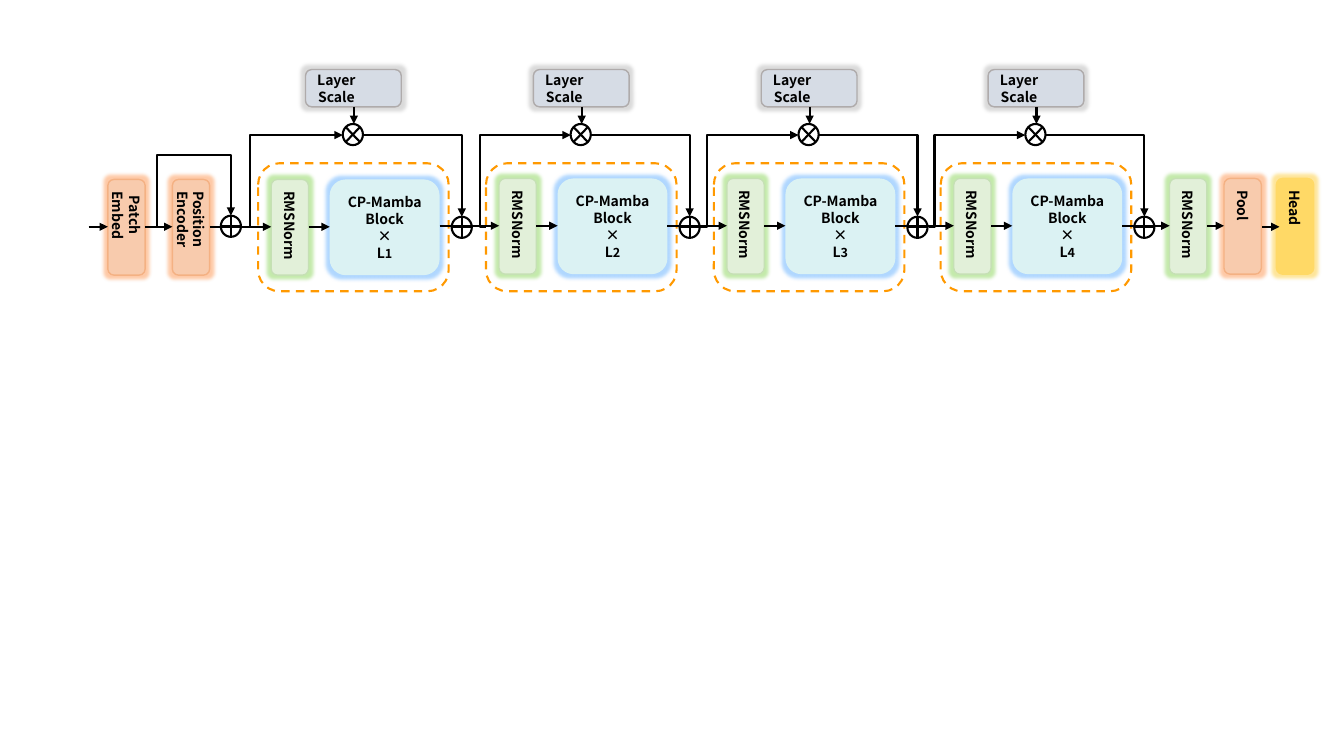
from dataclasses import dataclass
from lxml.etree import SubElement
from pptx import Presentation
from pptx.dml.color import RGBColor
from pptx.enum.dml import MSO_LINE
from pptx.enum.shapes import MSO_CONNECTOR, MSO_SHAPE
from pptx.enum.text import MSO_ANCHOR, PP_ALIGN
from pptx.oxml.ns import qn
from pptx.util import Pt

PX = 9144


@dataclass(frozen=True)
class Theme:
    font: str = "Noto Sans CJK SC"
    size: float = 10
    small: float = 9
    thin: float = 1
    thick: float = 1.5
    glow: int = 7
    ink: str = "000000"
    dash: str = "FF9900"
    peach: tuple = ("F8CBAD", "F4B183", "FF7A22")
    green: tuple = ("E2F0D9", "C5E0B4", "6CCB2E")
    blue: tuple = ("DBF2F3", None, "3B9CFF")
    gray: tuple = ("D6DCE5", "AFABAB", "A5A5A5")
    gold: tuple = ("FFD966", "FFD966", "FFC000")


T = Theme()


def write(shape, rows, size=T.size, color=T.ink, bold=True, vert=None):
    frame = shape.text_frame
    frame.word_wrap = True
    frame.vertical_anchor = MSO_ANCHOR.MIDDLE
    if vert:
        frame._txBody.bodyPr.set("vert", vert)
    for i, row in enumerate(rows):
        para = frame.paragraphs[0] if i == 0 else frame.add_paragraph()
        para.alignment = PP_ALIGN.CENTER
        for part in row if isinstance(row, tuple) else (row,):
            run = para.add_run()
            run.text = part
            font = run.font
            font.name, font.bold = T.font, bold
            font.size = Pt(T.small if part.isdigit() else size)
            font.color.rgb = RGBColor.from_string(color)
            SubElement(run._r.rPr, qn("a:ea"), typeface=T.font)


def draw(slide, kind, left, top, wide, high, fill=None, line=None, width=T.thin):
    shape = slide.shapes.add_shape(kind, left * PX, top * PX, wide * PX, high * PX)
    shape.shadow.inherit = False
    if fill:
        shape.fill.solid()
        shape.fill.fore_color.rgb = RGBColor.from_string(fill)
    else:
        shape.fill.background()
    if line:
        shape.line.color.rgb = RGBColor.from_string(line)
        shape.line.width = Pt(width)
    else:
        shape.line.fill.background()
    return shape


def box(slide, left, top, rows, look, wide=37, vert="eaVert"):
    fill, line, halo = look
    shape = draw(slide, MSO_SHAPE.ROUNDED_RECTANGLE, left, top, wide, 95, fill, line)
    glow = SubElement(shape._element.spPr.find(qn("a:effectLst")), qn("a:glow"),
                      rad=str(T.glow * PX))
    tint = SubElement(glow, qn("a:srgbClr"), val=halo)
    SubElement(tint, qn("a:alpha"), val="40000")
    write(shape, rows, vert=vert)
    return shape


def ring(slide, kind, left, top):
    draw(slide, kind, left, top, 20, 21, line=T.ink, width=T.thick)


def arrow(slide, start, end, prst=None, **bends):
    kind = MSO_CONNECTOR.ELBOW if prst else MSO_CONNECTOR.STRAIGHT
    link = slide.shapes.add_connector(kind, *(n * PX for n in start + end))
    link.line.color.rgb = RGBColor.from_string(T.ink)
    link.line.width = Pt(T.thick)
    SubElement(link.line._get_or_add_ln(), qn("a:tailEnd"), type="triangle")
    props = link._element.spPr
    SubElement(props, qn("a:effectLst"))
    if prst:
        geom = props.find(qn("a:prstGeom"))
        geom.set("prst", prst)
        guides = geom.find(qn("a:avLst"))
        for name, (spot, axis) in bends.items():
            ratio = (spot - start[axis]) / (end[axis] - start[axis])
            SubElement(guides, qn("a:gd"), name=name, fmla=f"val {round(ratio * 100000)}")


def stage(slide, order, left, top):
    box(slide, left + 13, top, ["RMSNorm"], T.green)
    box(slide, left + 71, top, ["CP-Mamba", "Block", "×", ("L", str(order))],
        T.blue, wide=109, vert=None)
    frame = draw(slide, MSO_SHAPE.ROUNDED_RECTANGLE, left, 162, 189, 127,
                 line=T.dash, width=T.thick)
    frame.line.dash_style = MSO_LINE.DASH
    box(slide, left + 76, 40, ["Layer", "Scale"], T.gray).rotation = 270
    arrow(slide, (left + 50, top + 47), (left + 71, top + 47))


def skip(slide, left, start, bend):
    ring(slide, MSO_SHAPE.FLOWCHART_SUMMING_JUNCTION, left + 84, 123)
    ring(slide, MSO_SHAPE.FLOWCHART_OR, left + 192, 215)
    arrow(slide, (left + 95, 106), (left + 95, 123))
    arrow(slide, (start, 225), (left + 84, 134), "bentConnector3", adj1=(bend, 0))
    arrow(slide, (left + 104, 134), (left + 202, 215), "bentConnector2")


def main():
    deck = Presentation()
    deck.slide_width, deck.slide_height = 1333 * PX, 750 * PX
    slide = deck.slides.add_slide(deck.slide_layouts[6])

    for left, top, word, look in (
        (107, 178, "Patch Embed", T.peach), (171, 178, "Position Encoder", T.peach),
        (1160, 177, "RMSNorm", T.green), (1214, 177, "Pool", T.peach),
        (1266, 177, "Head", T.gold),
    ):
        box(slide, left, top, [word], look)

    stages = ((256, 245, 248), (482, 482, 476), (708, 694, 701), (933, 921, 927))
    for order, (left, start, bend) in enumerate(stages, 1):
        stage(slide, order, left, 178 if order == 1 else 177)
    for left, start, bend in stages:
        skip(slide, left, start, bend)

    ring(slide, MSO_SHAPE.FLOWCHART_OR, 219, 214)
    arrow(slide, (148, 225), (229, 214), "bentConnector4", adj1=(156, 0), adj2=(154, 1))

    lefts = [left for left, start, bend in stages]
    ends = [left + 13 for left in lefts[1:]] + [1160]
    joins = [(left + 180, end, 224) for left, end in zip(lefts, ends)]
    heads = [(88, 107, 225), (144, 171, 225), (208, 269, 225)]
    tails = [(1197, 1214, 224), (1252, 1269, 225)]
    for start, end, high in heads + joins + tails:
        arrow(slide, (start, high), (end, high))

    deck.save("out.pptx")


if __name__ == "__main__":
    main()
